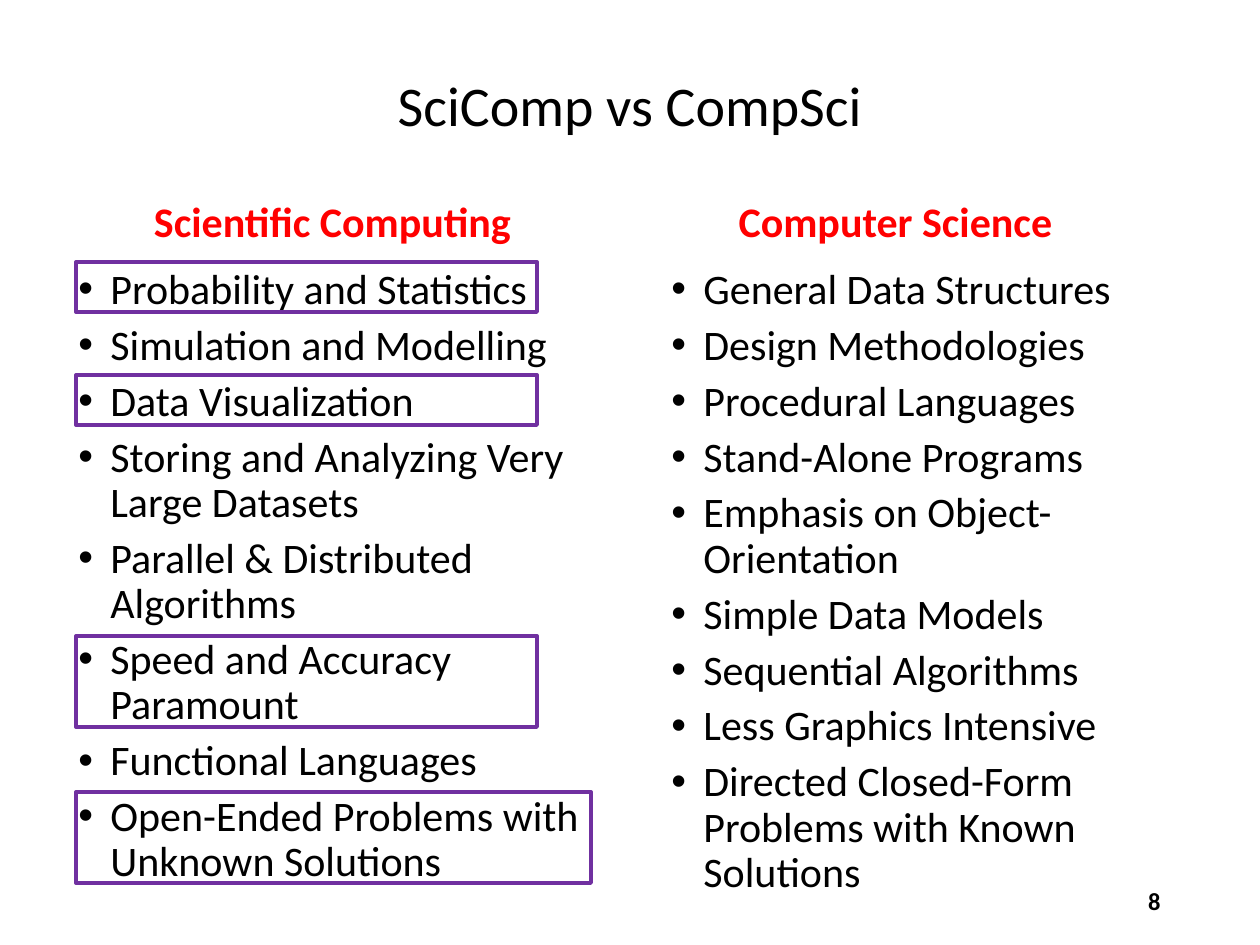
import lxml.etree
import pptx
import pptx.dml.color
import pptx.enum.shapes
import pptx.enum.text
import pptx.oxml.ns
import pptx.util

BLACK = pptx.dml.color.RGBColor(0x00, 0x00, 0x00)
RED = pptx.dml.color.RGBColor(0xFF, 0x00, 0x00)
PURPLE = pptx.dml.color.RGBColor(0x70, 0x30, 0xA0)
ALIGN = pptx.enum.text.PP_ALIGN
ANCHOR = pptx.enum.text.MSO_ANCHOR
PX_PER_INCH = 126

SCIENTIFIC_TOPICS = [
    "Probability and Statistics",
    "Simulation and Modelling",
    "Data Visualization",
    "Storing and Analyzing Very Large Datasets",
    "Parallel & Distributed Algorithms",
    "Speed and Accuracy Paramount",
    "Functional Languages",
    "Open-Ended Problems with Unknown Solutions",
]
COMPUTER_SCIENCE_TOPICS = [
    "General Data Structures",
    "Design Methodologies",
    "Procedural Languages",
    "Stand-Alone Programs",
    "Emphasis on Object-Orientation",
    "Simple Data Models",
    "Sequential Algorithms",
    "Less Graphics Intensive",
    "Directed Closed-Form Problems with Known Solutions",
]


def emu(px):
    return pptx.util.Emu(round(px * 914400 / PX_PER_INCH))


class SlideWriter:
    """Holds the text style and the slide being written."""

    font_name = "Calibri"
    line_spacing = 0.9
    indent = 32

    def __init__(self, slide):
        self.slide = slide

    def style(self, paragraph, size, color=BLACK, bold=False, align=ALIGN.LEFT):
        paragraph.alignment = align
        for run in paragraph.runs:
            run.font.name = self.font_name
            run.font.size = pptx.util.Pt(size)
            run.font.bold = bold
            run.font.color.rgb = color

    def title(self, text, left, top, width, height):
        heading = self.slide.shapes.title
        heading.left, heading.top = emu(left), emu(top)
        heading.width, heading.height = emu(width), emu(height)
        frame = heading.text_frame
        frame.text = text
        frame.vertical_anchor = ANCHOR.MIDDLE
        frame.paragraphs[0].line_spacing = self.line_spacing
        self.style(frame.paragraphs[0], 32, align=ALIGN.CENTER)

    def box(self, left, top, width, height, anchor=ANCHOR.TOP):
        area = self.slide.shapes.add_textbox(emu(left), emu(top), emu(width), emu(height))
        area.text_frame.word_wrap = True
        area.text_frame.vertical_anchor = anchor
        return area.text_frame

    def label(self, text, left, top, width, height, size, color, align, anchor=ANCHOR.TOP):
        frame = self.box(left, top, width, height, anchor)
        frame.text = text
        self.style(frame.paragraphs[0], size, color, True, align)

    def bullets(self, topics, left, top, width, height):
        frame = self.box(left, top, width, height)
        frame.text = "\n".join(topics)
        for paragraph in frame.paragraphs:
            properties = paragraph._p.get_or_add_pPr()
            properties.set("marL", str(emu(self.indent)))
            properties.set("indent", str(-emu(self.indent)))
            qn = pptx.oxml.ns.qn
            lxml.etree.SubElement(properties, qn("a:buFont"), typeface="Arial")
            lxml.etree.SubElement(properties, qn("a:buChar"), char="•")
            paragraph.line_spacing = self.line_spacing
            paragraph.space_after = pptx.util.Pt(6)
            self.style(paragraph, 24)

    def highlight(self, left, top, width, height):
        frame = self.slide.shapes.add_shape(
            pptx.enum.shapes.MSO_SHAPE.RECTANGLE,
            emu(left), emu(top), emu(width), emu(height))
        frame.shadow.inherit = False
        frame.fill.background()
        frame.line.color.rgb = PURPLE
        frame.line.width = pptx.util.Pt(2.25)


def main():
    deck = pptx.Presentation()
    deck.slide_width, deck.slide_height = emu(1260), emu(945)
    writer = SlideWriter(deck.slides.add_slide(deck.slide_layouts[5]))

    writer.title("SciComp vs CompSci", 87, 50, 1086, 117)
    writer.bullets(SCIENTIFIC_TOPICS, 66, 262, 533, 635)
    writer.bullets(COMPUTER_SCIENCE_TOPICS, 659, 262, 475, 635)
    for heading, left in (("Scientific Computing", 136), ("Computer Science", 699)):
        writer.label(heading, left, 189, 393, 63, 24, RED, ALIGN.CENTER)
    for top, width, height in ((262, 461, 50), (375, 461, 50), (636, 461, 91), (792, 515, 91)):
        writer.highlight(76, top, width, height)
    writer.label("8", 890, 876, 283, 50, 14, BLACK, ALIGN.RIGHT, ANCHOR.MIDDLE)

    deck.save("out.pptx")


if __name__ == "__main__":
    main()
